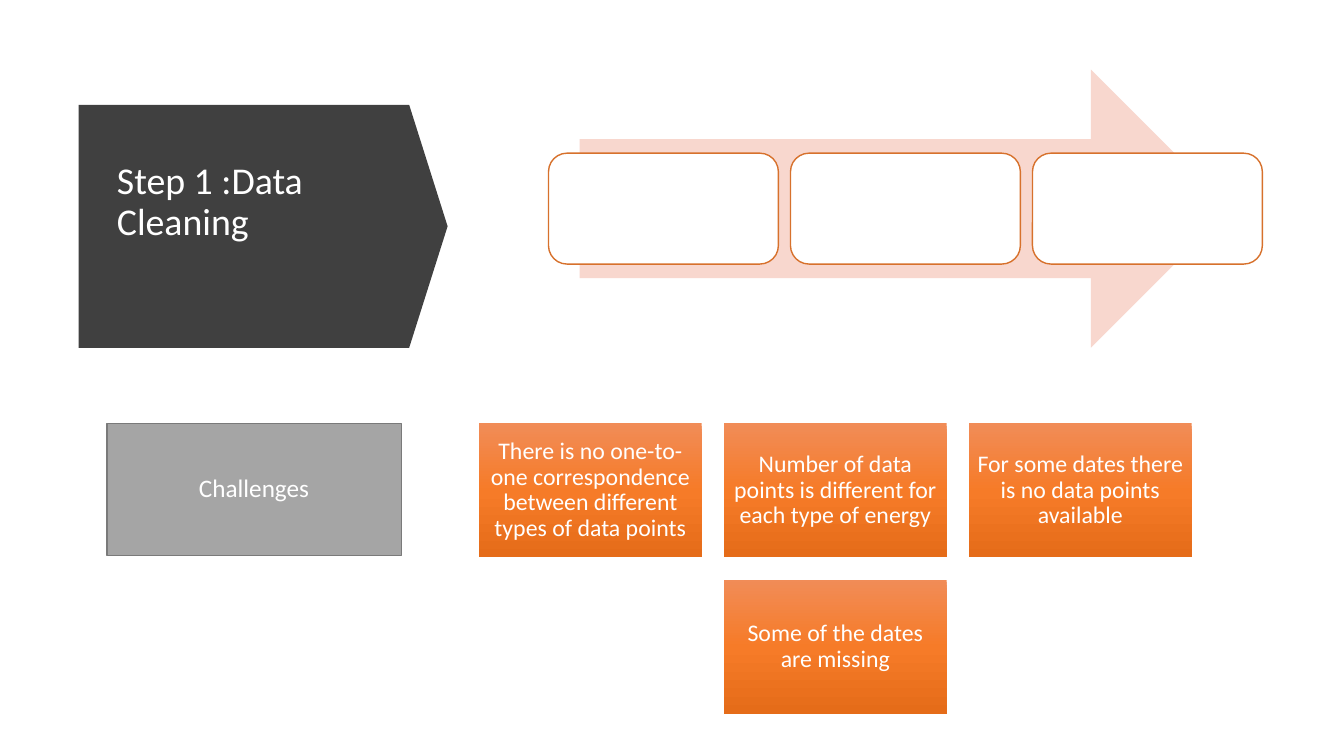
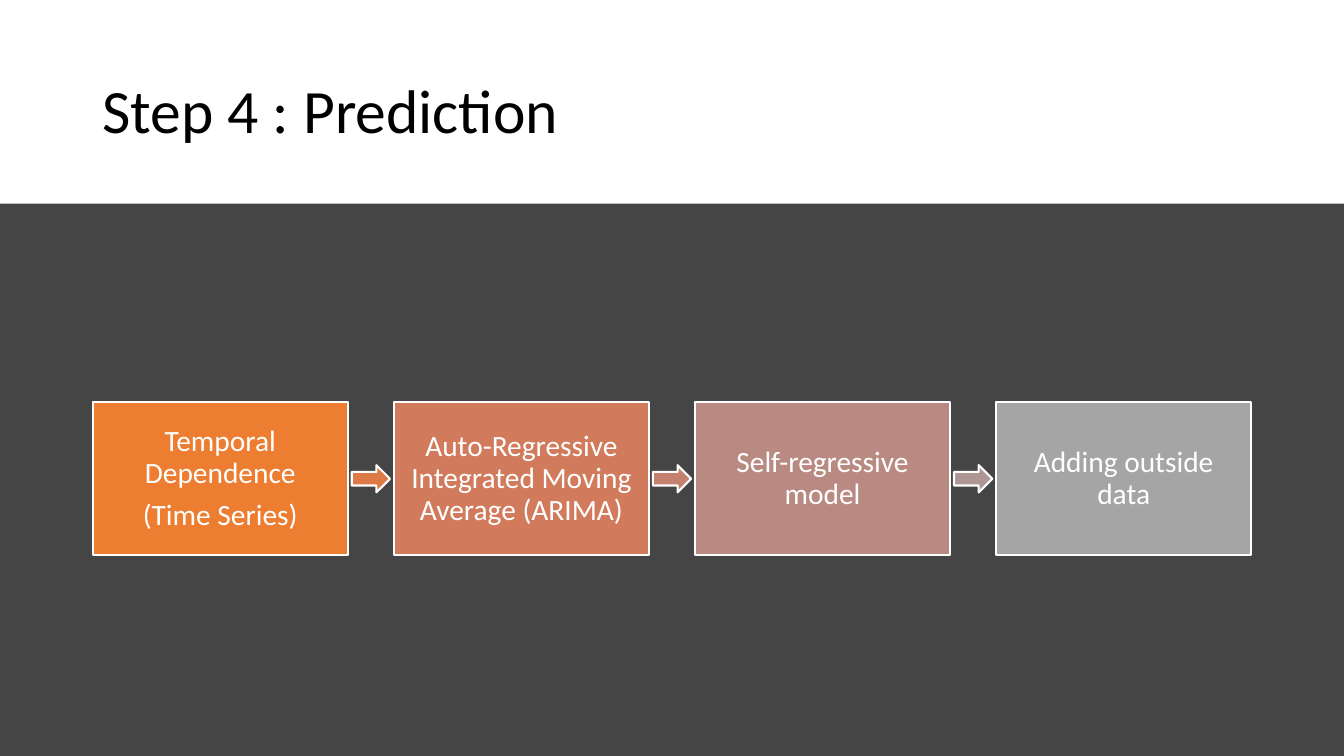
import copy
from dataclasses import dataclass

import pptx
import pptx.dml.color
import pptx.enum.shapes
import pptx.enum.text
import pptx.util

Inches, Pt = pptx.util.Inches, pptx.util.Pt
Shape = pptx.enum.shapes.MSO_SHAPE
Align = pptx.enum.text.PP_ALIGN
rgb = pptx.dml.color.RGBColor.from_string


@dataclass(frozen=True)
class Theme:
    font: str = "Calibri"
    white: str = "FFFFFF"
    black: str = "000000"
    charcoal: str = "404040"
    backdrop: str = "454545"
    gray: str = "A5A5A5"
    gray_edge: str = "7A7A7A"
    peach: str = "F8D7CE"
    orange_edge: str = "D7712C"
    card_gradient: tuple = ("F18C57", "F67B28", "E56C19")
    step_fills: tuple = ("ED7D31", "D17B5C", "B98A82", "A5A5A5")
    arrow_fills: tuple = ("DE7A47", "C48170", "AE9694")
    title: int = 44
    step_title: int = 27
    step: int = 21
    label: int = 18
    card: int = 17


theme = Theme()


def add_box(page, kind, place, fill, line=None, line_width=1):
    """Add a shape at place (left, top, width, height in inches); a tuple fill is a vertical gradient."""
    box = page.shapes.add_shape(kind, *map(Inches, place))
    box.shadow.inherit = False
    if fill is None:
        box.fill.background()
    elif isinstance(fill, tuple):
        box.fill.gradient()
        box.fill.gradient_angle = 270
        stops = box.element.spPr.find(".//" + pptx.oxml.ns.qn("a:gsLst"))
        while len(stops) < len(fill):
            stops.append(copy.deepcopy(stops[0]))
        for index, (stop, color) in enumerate(zip(box.fill.gradient_stops, fill)):
            stop.position = index / (len(fill) - 1)
            stop.color.rgb = rgb(color)
    else:
        box.fill.solid()
        box.fill.fore_color.rgb = rgb(fill)
    if line:
        box.line.color.rgb = rgb(line)
        box.line.width = Pt(line_width)
    else:
        box.line.fill.background()
    return box


def write(box, lines, size, color=theme.white, align=Align.CENTER,
          margins=(0.1, 0.05, 0.1, 0.05), space_after=0):
    """Fill a box with one paragraph per line; margins are left, top, right, bottom."""
    frame = box.text_frame
    frame.word_wrap = True
    frame.vertical_anchor = pptx.enum.text.MSO_ANCHOR.MIDDLE
    (frame.margin_left, frame.margin_top,
     frame.margin_right, frame.margin_bottom) = map(Inches, margins)
    frame.text = "\n".join(lines)
    for para in frame.paragraphs:
        para.alignment = align
        para.line_spacing = 0.9
        para.space_after = Pt(space_after * size)
        para.font.name = theme.font
        para.font.size = Pt(size)
        para.font.color.rgb = rgb(color)


deck = pptx.Presentation()
slide_width, slide_height = 13.33, 7.5
deck.slide_width, deck.slide_height = Inches(slide_width), Inches(slide_height)
blank = deck.slide_layouts[6]

# Data cleaning
page = deck.slides.add_slide(blank)
banner = add_box(page, Shape.PENTAGON, (0.78, 1.04, 3.66, 2.41), theme.charcoal)
banner.adjustments[0] = 0.158
write(banner, ["Step 1 :Data Cleaning"], theme.step_title, align=Align.LEFT,
      margins=(0.38, 0.05, 0.1, 0.52))

challenges = [
    (0, 0, "There is no one-to-one correspondence between different types of data points"),
    (1, 0, "Number of data points is different for each type of energy"),
    (2, 0, "For some dates there is no data points available"),
    (1, 1, "Some of the dates are missing"),
]
card_left, card_top, card_width, card_height, card_gap = 4.75, 4.2, 2.21, 1.33, 0.22
for column, row, text in challenges:
    card = add_box(page, Shape.RECTANGLE,
                   (card_left + column * (card_width + card_gap),
                    card_top + row * (card_height + card_gap),
                    card_width, card_height), theme.card_gradient)
    write(card, [text], theme.card, margins=(0.07,) * 4, space_after=0.35)

label = add_box(page, Shape.RECTANGLE, (1.06, card_top, 2.92, 1.31),
                theme.gray, theme.gray_edge)
write(label, ["Challenges"], theme.label)

add_box(page, Shape.RIGHT_ARROW, (5.75, 0.69, 6.45, 2.76), theme.peach)
stage_left, stage_width, stage_gap = 5.44, 2.28, 0.12
for column in range(3):
    add_box(page, Shape.ROUNDED_RECTANGLE,
            (stage_left + column * (stage_width + stage_gap), 1.52, stage_width, 1.1),
            theme.white, theme.orange_edge)

# Prediction
page = deck.slides.add_slide(blank)
page.background.fill.solid()
page.background.fill.fore_color.rgb = rgb(theme.backdrop)
add_box(page, Shape.RECTANGLE, (0, 0, slide_width, 2.02), theme.white)
margin = 0.92
content_width = slide_width - 2 * margin
title = page.shapes.add_textbox(*map(Inches, (margin, 0.4, content_width, 1.45)))
write(title, ["Step 4 : Prediction"], theme.title, theme.black, Align.LEFT)

steps = [
    ["Temporal Dependence", "(Time Series)"],
    ["Auto-Regressive Integrated Moving Average (ARIMA)"],
    ["Self-regressive model"],
    ["Adding outside data"],
]
step_top, step_width, step_height = 3.99, 2.53, 1.52
arrow_width, arrow_height = 0.38, 0.27
step_pitch = (content_width - step_width) / (len(steps) - 1)
arrow_offset = (step_width + step_pitch - arrow_width) / 2
for column, lines in enumerate(steps):
    left = margin + column * step_pitch
    step = add_box(page, Shape.RECTANGLE, (left, step_top, step_width, step_height),
                   theme.step_fills[column], theme.white, 1.5)
    write(step, lines, theme.step, margins=(0.17,) * 4, space_after=0.35)
    if column < len(theme.arrow_fills):
        add_box(page, Shape.RIGHT_ARROW,
                (left + arrow_offset, step_top + (step_height - arrow_height) / 2,
                 arrow_width, arrow_height),
                theme.arrow_fills[column], theme.white, 1.5)

deck.save("out.pptx")
